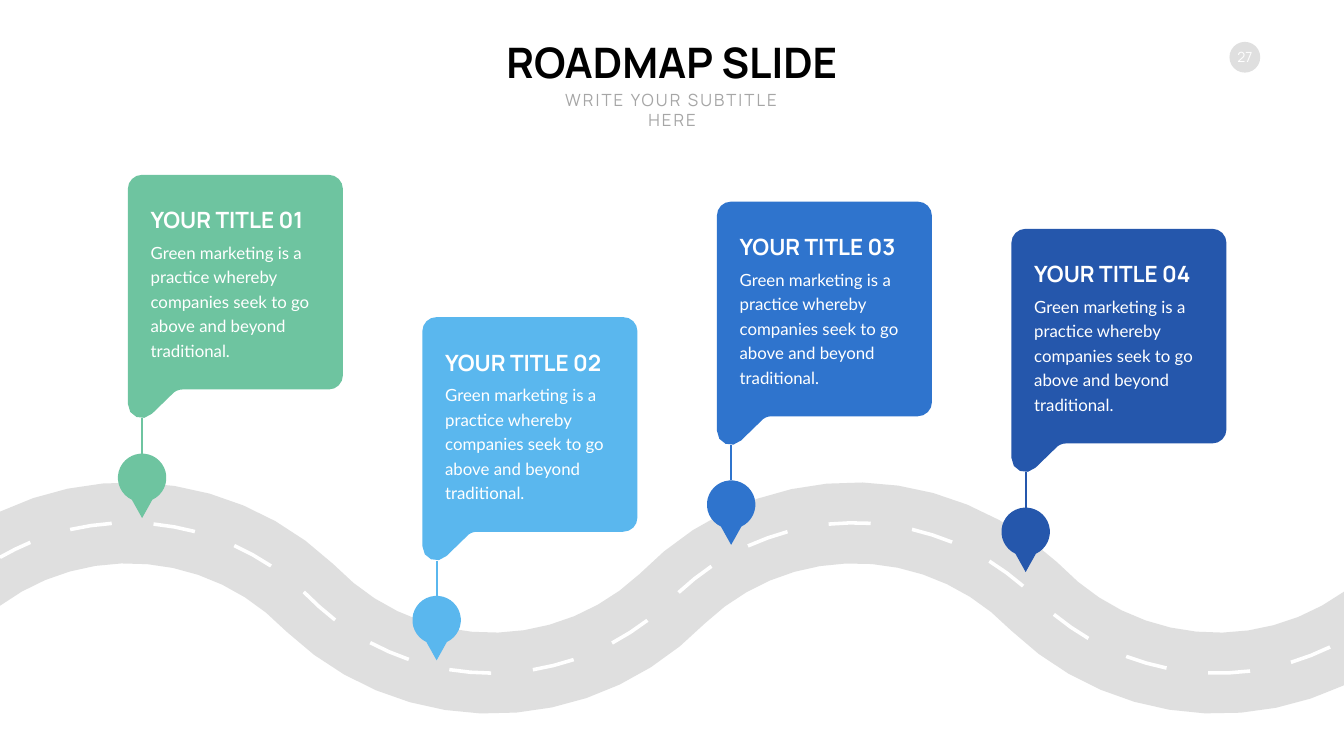
import math

from pptx import Presentation
from pptx import util as u
from pptx.dml import color as dml_color
from pptx.enum import shapes, text
from pptx.oxml import ns
from lxml import etree

WIDTH, HEIGHT = 67.72, 38.1  # all lengths are in centimetres

# Road: quarter circles that swing alternately over crests and troughs
ROAD_RADIUS, HALF_ROAD, HALF_DASH = 12.93, 2.04, 0.09
FIRST_CREST_X, CREST_CENTRE_Y = 6.48, 39.28
HALF_WAVE = ROAD_RADIUS * math.sqrt(2)
DASH_START, DASH_STEP, DASH_SWEEP, DASH_COUNT = -31.9, 18.74, 9.4, 18

# Milestones: evenly spaced stems, each with its own card top
FIRST_STEM_X, STEM_STEP = 7.16, 14.84
MILESTONES = [
    ("YOUR TITLE 01", 8.81, "6EC4A0"),
    ("YOUR TITLE 02", 15.98, "5AB7EE"),
    ("YOUR TITLE 03", 10.16, "2F74CD"),
    ("YOUR TITLE 04", 11.53, "2557AC"),
]
DESCRIPTION = ("Green marketing is a practice whereby companies seek "
               "to go above and beyond traditional.")

# Card outline from its top left corner: one point is a line, three are a curve
CARD_OUTLINE = [
    [(0.72, 0)],
    [(0.32, 0), (0, 0.32), (0, 0.72)],
    [(0, 11.53)],
    [(0, 12.19), (0.76, 12.5), (1.22, 12.04)],
    [(2.24, 11.05)],
    [(2.36, 10.91), (2.54, 10.82), (2.74, 10.82)],
    [(10.12, 10.82)],
    [(10.52, 10.82), (10.84, 10.5), (10.84, 10.1)],
    [(10.84, 0.72)],
    [(10.84, 0.32), (10.52, 0), (10.12, 0)],
]


def rgb(value):
    return dml_color.RGBColor.from_string(value)


def write(frame, content, size=24, font="Lato", color="FFFFFF", bold=False,
          align=text.PP_ALIGN.LEFT, anchor=text.MSO_ANCHOR.TOP,
          line_spacing=None, tracking=None):
    frame.word_wrap = True
    frame.auto_size = text.MSO_AUTO_SIZE.NONE
    frame.vertical_anchor = anchor
    paragraph = frame.paragraphs[0]
    paragraph.alignment = align
    paragraph.space_before = u.Pt(0)
    if line_spacing:
        paragraph.line_spacing = u.Pt(line_spacing)
    run = paragraph.add_run()
    run.text = content
    run.font.size = u.Pt(size)
    run.font.name = font
    run.font.bold = bold
    run.font.color.rgb = rgb(color)
    if tracking:
        run.font._element.set("spc", str(tracking * 100))


def flatten(outline, steps=4):
    """Turn lines and cubic curves into a plain list of points."""
    points = []
    for part in outline:
        if len(part) == 1:
            points += part
            continue
        controls = [points[-1]] + part
        for step in range(1, steps + 1):
            t = step / steps
            weights = ((1 - t) ** 3, 3 * t * (1 - t) ** 2,
                       3 * t ** 2 * (1 - t), t ** 3)
            points.append(tuple(sum(w * c[axis] for w, c in zip(weights, controls))
                                for axis in (0, 1)))
    return points


def road_point(degrees, offset):
    """Point on the road at a turn angle from the first crest, offset upwards."""
    arc = round(degrees / 90)
    side = 1 if arc % 2 == 0 else -1
    angle = math.radians(degrees - 90 * arc)
    radius = ROAD_RADIUS + side * offset
    centre_y = CREST_CENTRE_Y - (0 if side == 1 else HALF_WAVE)
    return (FIRST_CREST_X + arc * HALF_WAVE + radius * math.sin(angle),
            centre_y - side * radius * math.cos(angle))


def road_edge(start, end, offset, steps):
    return [road_point(start + (end - start) * i / steps, offset)
            for i in range(steps + 1)]


def slide_edge_angles(offset):
    """Turn angles at which a road line meets the left and right slide edges."""
    left = math.asin(-FIRST_CREST_X / (ROAD_RADIUS + offset))
    right = math.asin((WIDTH - FIRST_CREST_X - 3 * HALF_WAVE) / (ROAD_RADIUS - offset))
    return math.degrees(left), 270 + math.degrees(right)


class RoadmapSlide:
    heading_font = "Manrope"
    road_color = "DFDFDF"

    def __init__(self, presentation):
        self.slide = presentation.slides.add_slide(presentation.slide_layouts[0])
        self.shapes = self.slide.shapes

    def placeholder(self, index, box, content, **style):
        shape = self.slide.placeholders[index]
        shape.left, shape.top, shape.width, shape.height = map(u.Cm, box)
        write(shape.text_frame, content, font=self.heading_font,
              align=text.PP_ALIGN.CENTER, **style)

    def text_box(self, box, content, **style):
        shape = self.shapes.add_textbox(*map(u.Cm, box))
        write(shape.text_frame, content, **style)

    def paint(self, shape, color):
        shape.shadow.inherit = False
        shape.fill.solid()
        shape.fill.fore_color.rgb = rgb(color)
        shape.line.fill.background()

    def outline(self, contours, color):
        contours = [[(u.Cm(x), u.Cm(y)) for x, y in points] for points in contours]
        builder = self.shapes.build_freeform(*contours[0][0])
        for number, points in enumerate(contours):
            if number:
                builder.move_to(*points[0])
            builder.add_line_segments(points[1:], close=True)
        self.paint(builder.convert_to_shape(), color)

    def stem(self, x, top, bottom, color):
        line = self.shapes.add_connector(shapes.MSO_CONNECTOR.STRAIGHT,
                                         u.Cm(x), u.Cm(top), u.Cm(x), u.Cm(bottom))
        line.line.color.rgb = rgb(color)
        line.line.width = u.Pt(2.9)
        etree.SubElement(line._element.spPr, ns.qn("a:effectLst"))

    def page_number(self, number):
        badge = self.shapes.add_shape(shapes.MSO_SHAPE.OVAL, u.Cm(61.95), u.Cm(2.11),
                                      u.Cm(1.55), u.Cm(1.55))
        self.paint(badge, self.road_color)
        frame = badge.text_frame
        frame.margin_left = frame.margin_right = 0
        frame.margin_top = frame.margin_bottom = 0
        write(frame, number, size=20, font=self.heading_font,
              align=text.PP_ALIGN.CENTER, anchor=text.MSO_ANCHOR.MIDDLE)

    def road(self):
        upper = road_edge(*slide_edge_angles(HALF_ROAD), HALF_ROAD, 48)
        lower = road_edge(*slide_edge_angles(-HALF_ROAD), -HALF_ROAD, 48)
        self.outline([upper + lower[::-1]], self.road_color)
        first_angle = slide_edge_angles(0)[0]
        dashes = []
        for number in range(DASH_COUNT):
            start = DASH_START + number * DASH_STEP
            span = max(start, first_angle), start + DASH_SWEEP
            dashes.append(road_edge(*span, HALF_DASH, 2)
                          + road_edge(*span, -HALF_DASH, 2)[::-1])
        self.outline(dashes, "FFFFFF")

    def pin(self, x, top, color, radius=1.22):
        angles = [math.radians(a) for a in range(25, 336, 10)]
        head = [(x + radius * math.sin(a), top + radius + radius * math.cos(a))
                for a in angles]
        self.outline([head + [(x, top + 3.25)]], color)

    def milestone(self, x, top, title, color):
        self.pin(x, top + 14.05, color)
        self.stem(x, top + 12.27, top + 14.05, color)
        card = [(x - 0.72 + dx, top + dy) for dx, dy in flatten(CARD_OUTLINE)]
        self.outline([card], color)
        self.text_box((x + 0.18, top + 3.07, 9.02, 6.35), DESCRIPTION, line_spacing=35)
        self.text_box((x + 0.18, top + 1.45, 9.02, 1.63), title, size=32, bold=True,
                      font=self.heading_font, anchor=text.MSO_ANCHOR.BOTTOM)


def main():
    presentation = Presentation()
    presentation.slide_width, presentation.slide_height = u.Cm(WIDTH), u.Cm(HEIGHT)
    roadmap = RoadmapSlide(presentation)

    # Heading and page number
    roadmap.placeholder(0, (24.99, 1.7, 17.73, 2.82), "ROADMAP SLIDE",
                        size=60, color="000000", bold=True)
    roadmap.placeholder(1, (26.97, 4.37, 13.79, 1.27), "WRITE YOUR SUBTITLE HERE",
                        color="A6A6A6", tracking=3)
    roadmap.page_number("27")

    # Road with its milestones
    roadmap.road()
    for number, (title, top, color) in enumerate(MILESTONES):
        roadmap.milestone(FIRST_STEM_X + number * STEM_STEP, top, title, color)

    presentation.save("out.pptx")


if __name__ == "__main__":
    main()
